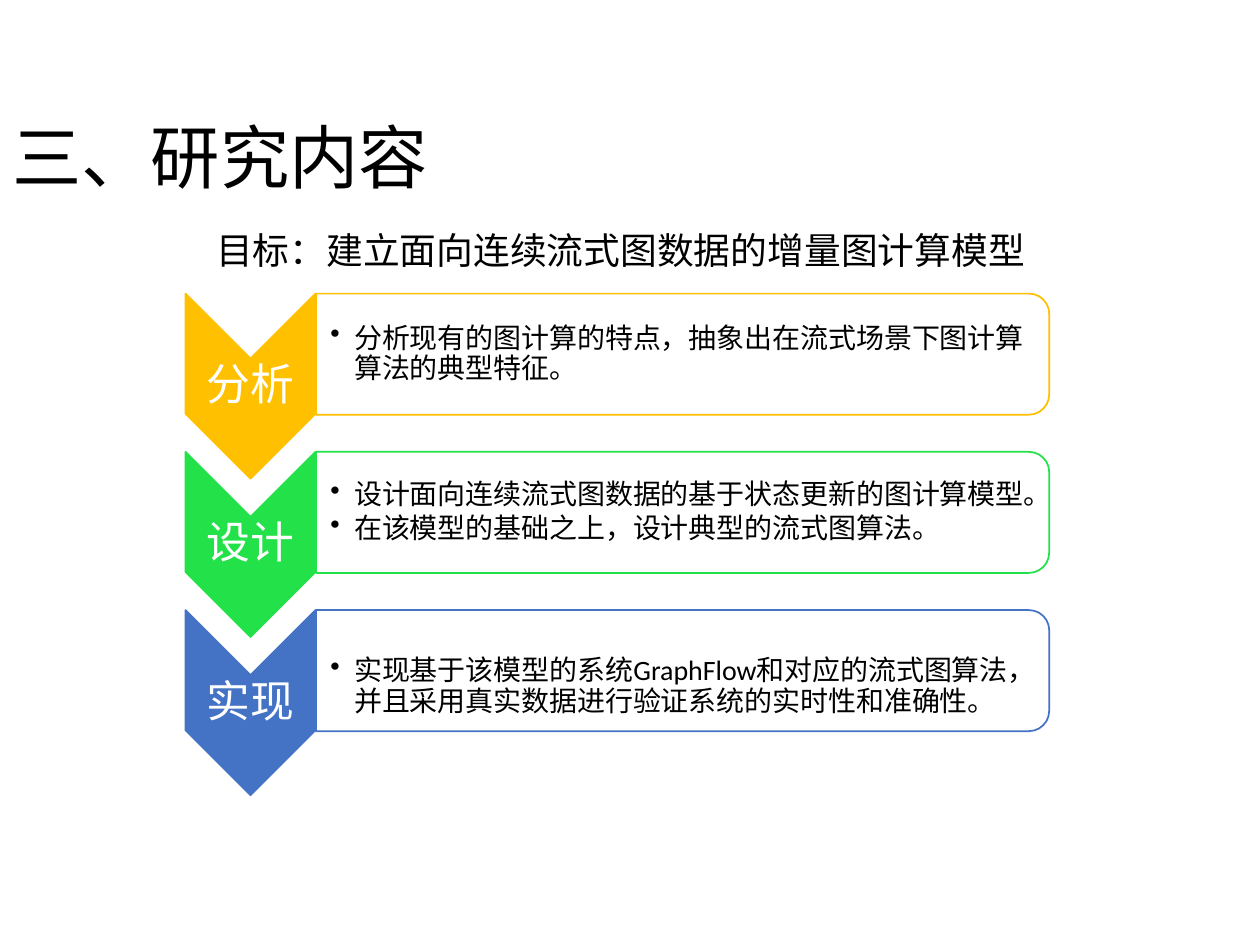
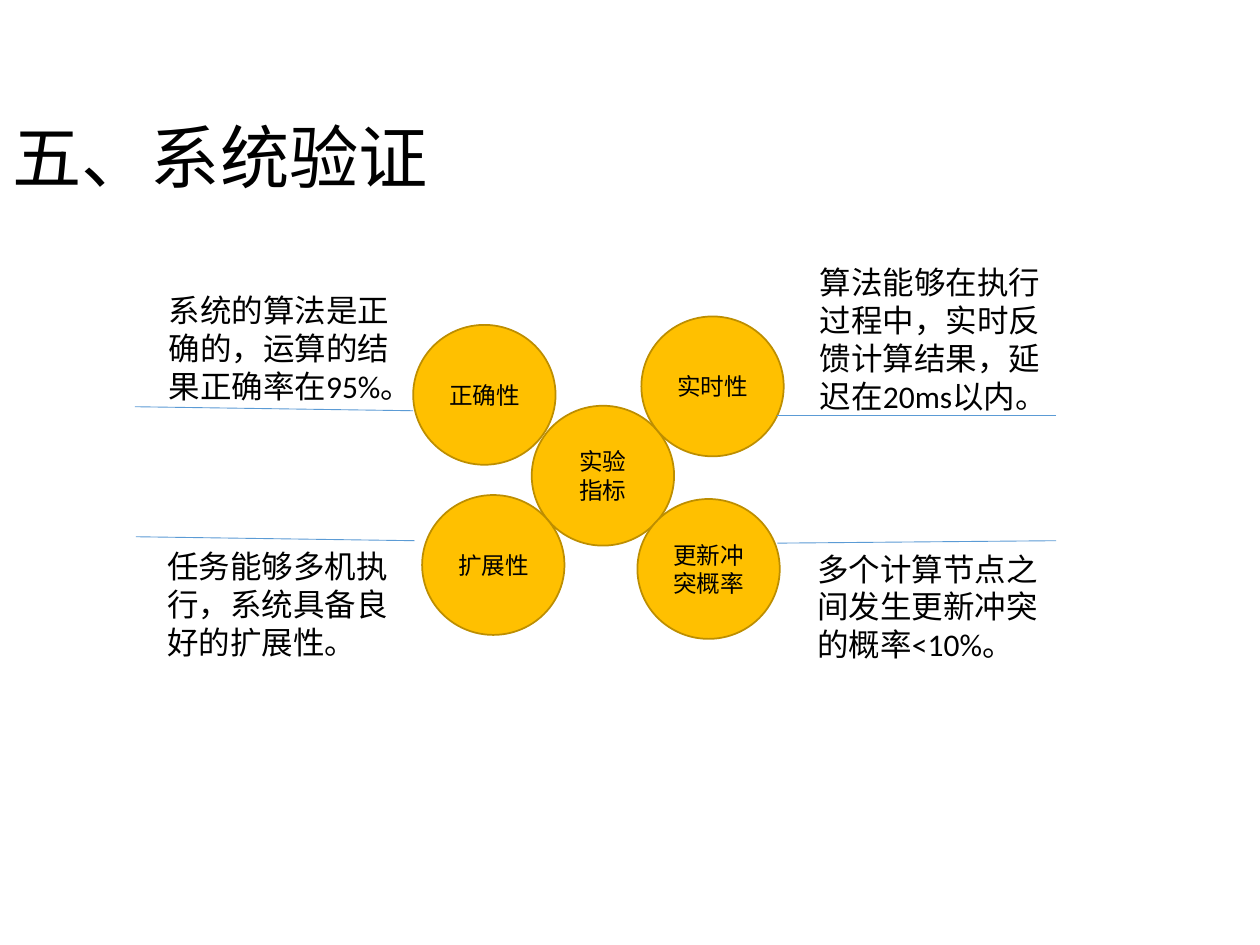
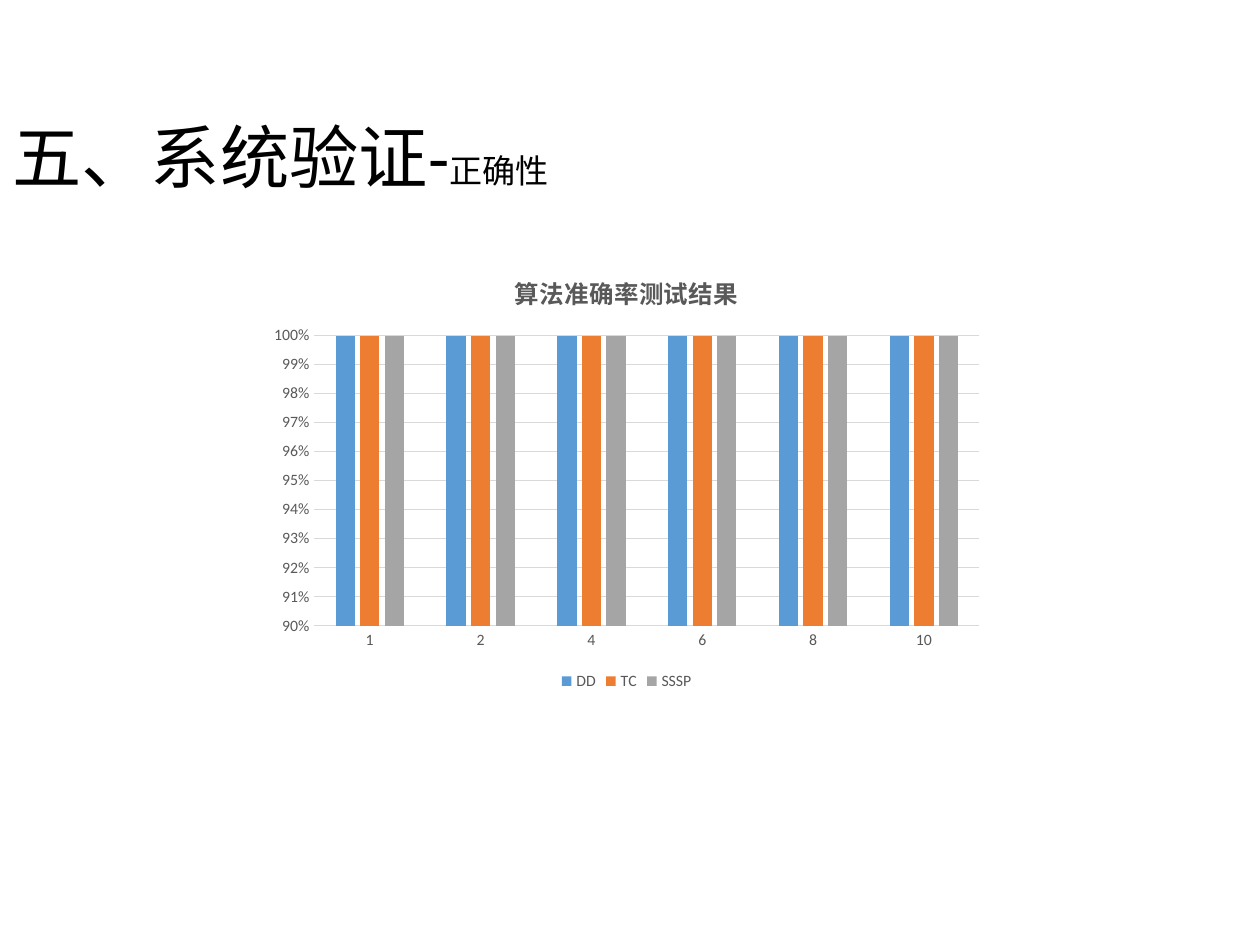
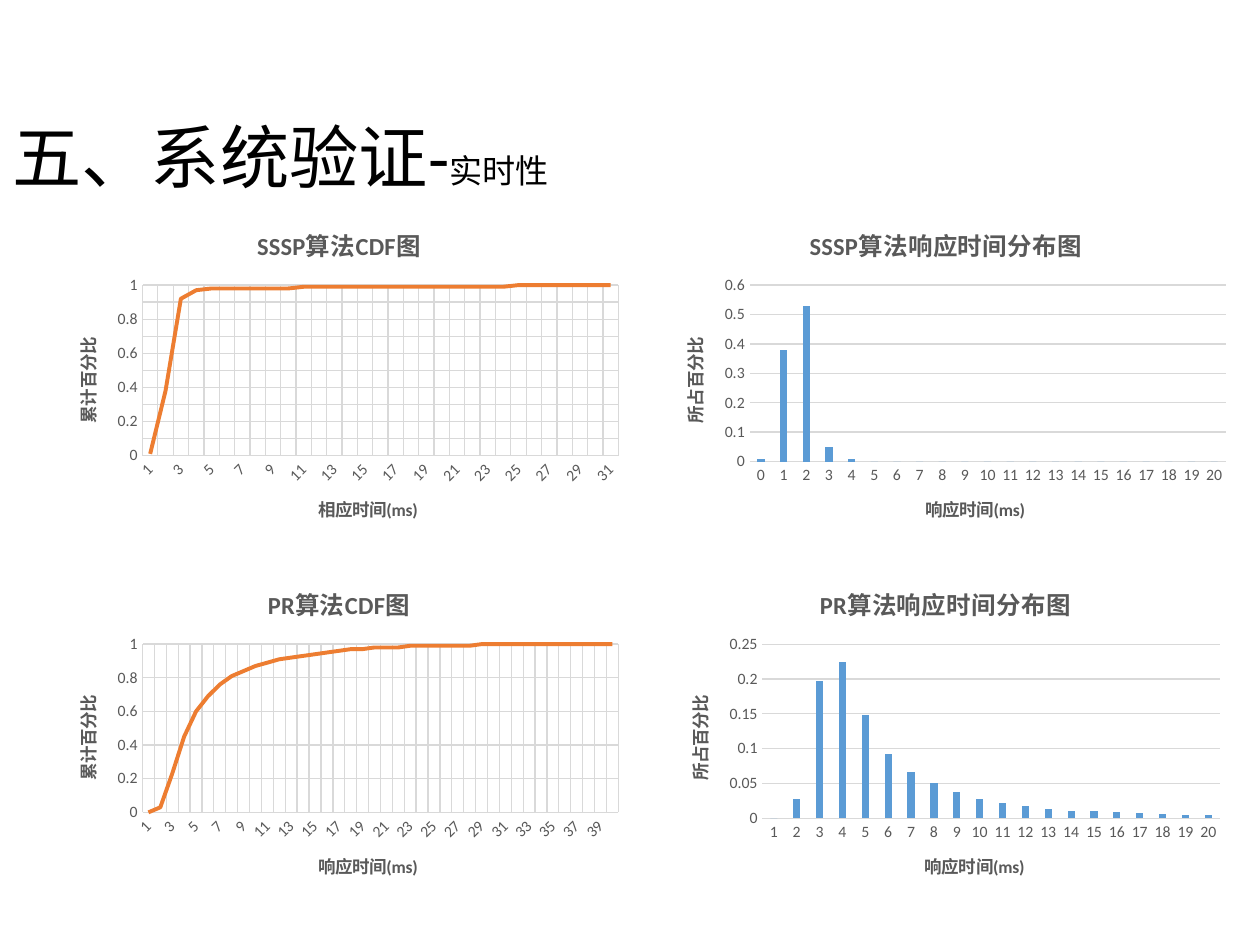
from copy import deepcopy
from dataclasses import dataclass
from typing import NamedTuple, Optional

from lxml.etree import SubElement
from pptx import Presentation
from pptx.chart.axis import CategoryAxis, ValueAxis
from pptx.chart.chart import Chart
from pptx.chart.data import CategoryChartData
from pptx.dml.color import RGBColor
from pptx.dml.line import LineFormat
from pptx.enum.chart import XL_CHART_TYPE, XL_LEGEND_POSITION, XL_TICK_MARK
from pptx.enum.shapes import MSO_CONNECTOR, MSO_SHAPE
from pptx.enum.text import MSO_ANCHOR, PP_ALIGN
from pptx.oxml.ns import qn
from pptx.shapes.autoshape import Shape
from pptx.slide import Slide
from pptx.text.text import Font
from pptx.util import Cm, Pt


@dataclass(frozen=True)
class Theme:
    font: str = "Calibri"
    text: str = "000000"
    white: str = "FFFFFF"
    amber: str = "FFC000"
    amber_edge: str = "BD8E00"
    green: str = "23E148"
    indigo: str = "4472C4"
    blue: str = "5B9BD5"
    orange: str = "ED7D31"
    grey: str = "A5A5A5"
    chart_text: str = "595959"
    grid: str = "D9D9D9"
    title_size: float = 39.6
    subtitle_size: float = 18.9
    goal_size: float = 21
    step_size: float = 25
    detail_size: float = 16
    metric_size: float = 13.5
    note_size: float = 18
    chart_title_size: float = 14
    axis_title_size: float = 10
    tick_size: float = 9


THEME = Theme()


class Box(NamedTuple):
    """Left, top, width and height in centimetres."""
    left: float
    top: float
    width: float
    height: float

    def lengths(self) -> tuple[Cm, ...]:
        return tuple(Cm(value) for value in self)

    def turned(self) -> "Box":
        """The box that covers this one after a quarter turn."""
        shift = (self.width - self.height) / 2
        return Box(self.left + shift, self.top - shift, self.height, self.width)


class Margins(NamedTuple):
    left: float = 0.25
    top: float = 0.13
    right: float = 0.25
    bottom: float = 0.13


class Step(NamedTuple):
    label: str
    color: str
    details: list[str]
    top_margin: float = 0.03


class Metric(NamedTuple):
    label: str
    circle: tuple[float, float]
    note: str
    note_box: Box
    rule: tuple[float, float, float, float]


@dataclass
class ChartSpec:
    title: str
    box: Box
    categories: list[str]
    series: dict[str, list[float]]
    colors: list[str]
    is_cdf: bool = False
    x_title: str = ""
    y_title: str = ""
    number_format: str = "General"
    minimum: float = 0
    maximum: Optional[float] = None
    major_unit: Optional[float] = None
    minor_unit: Optional[float] = None
    legend: bool = False


# ---- Shared drawing functions ----
def style_font(font: Font, size: Optional[float], color: str) -> None:
    font.name = THEME.font
    font.color.rgb = RGBColor.from_string(color)
    if size:
        font.size = Pt(size)


def style_line(line: LineFormat, color: str, width: float) -> None:
    line.color.rgb = RGBColor.from_string(color)
    line.width = Pt(width)


def write(shape: Shape, lines: list[str], size: float, color: str = THEME.text,
          align: PP_ALIGN = PP_ALIGN.LEFT, anchor: MSO_ANCHOR = MSO_ANCHOR.TOP,
          margins: Margins = Margins(), spacing: float = 1.0, bullets: bool = False) -> None:
    frame = shape.text_frame
    frame.word_wrap = True
    frame.vertical_anchor = anchor
    frame.margin_left, frame.margin_top, frame.margin_right, frame.margin_bottom = map(Cm, margins)
    for index, line in enumerate(lines):
        paragraph = frame.add_paragraph() if index else frame.paragraphs[0]
        paragraph.add_run().text = line
        paragraph.alignment = align
        paragraph.line_spacing = spacing
        if bullets:
            paragraph.space_after = Pt(2.4)
            properties = paragraph._p.get_or_add_pPr()
            properties.set("marL", str(Cm(0.48)))
            properties.set("indent", str(Cm(-0.48)))
            SubElement(properties, qn("a:buChar")).set("char", "•")
        style_font(paragraph.font, size, color)


def add_text(slide: Slide, box: Box, lines: list[str], size: float, **options) -> None:
    write(slide.shapes.add_textbox(*box.lengths()), lines, size, **options)


def add_figure(slide: Slide, kind: MSO_SHAPE, box: Box, fill: str, edge: str) -> Shape:
    figure = slide.shapes.add_shape(kind, *box.lengths())
    figure.shadow.inherit = False
    figure.fill.solid()
    figure.fill.fore_color.rgb = RGBColor.from_string(fill)
    style_line(figure.line, edge, 1)
    return figure


def add_rule(slide: Slide, ends: tuple[float, float, float, float]) -> None:
    rule = slide.shapes.add_connector(MSO_CONNECTOR.STRAIGHT, *map(Cm, ends))
    style_line(rule.line, THEME.blue, 0.5)
    SubElement(rule.element.spPr, qn("a:effectLst"))


def add_titled_slide(deck: Presentation, title: str, subtitle: str = "") -> Slide:
    slide = deck.slides.add_slide(deck.slide_layouts[6])
    heading = slide.shapes.add_textbox(*Box(0, 2.34, 21.89, 1.8).lengths())
    heading.text_frame.word_wrap = True
    heading.text_frame.vertical_anchor = MSO_ANCHOR.MIDDLE
    paragraph = heading.text_frame.paragraphs[0]
    paragraph.line_spacing = 0.9
    style_font(paragraph.font, None, THEME.text)
    for words, size in ((title, THEME.title_size), (subtitle, THEME.subtitle_size)):
        if words:
            run = paragraph.add_run()
            run.text = words
            run.font.size = Pt(size)
    return slide


# ---- Charts ----
def style_axis(axis: CategoryAxis | ValueAxis, title: str, grid: bool) -> None:
    axis.major_tick_mark = axis.minor_tick_mark = XL_TICK_MARK.NONE
    style_font(axis.tick_labels.font, THEME.tick_size, THEME.chart_text)
    axis.has_major_gridlines = grid
    if grid:
        style_line(axis.major_gridlines.format.line, THEME.grid, 0.75)
    axis.has_title = bool(title)
    if title:
        paragraph = axis.axis_title.text_frame.paragraphs[0]
        paragraph.add_run().text = title
        style_font(paragraph.font, THEME.axis_title_size, THEME.chart_text)


def style_axes(chart: Chart, spec: ChartSpec) -> None:
    category, value = chart.category_axis, chart.value_axis
    style_axis(category, spec.x_title, spec.is_cdf)
    style_line(category.format.line, THEME.grid, 0.75)
    # Category labels turn by themselves when they run out of room
    labels = chart.element.find(f".//{qn('c:catAx')}/{qn('c:txPr')}/{qn('a:bodyPr')}")
    labels.set("rot", "-60000000")
    labels.set("vert", "horz")

    style_axis(value, spec.y_title, True)
    value.format.line.fill.background()
    value.minimum_scale = spec.minimum
    value.maximum_scale = spec.maximum
    value.major_unit = spec.major_unit
    value.tick_labels.number_format = spec.number_format
    value.tick_labels.number_format_is_linked = False
    if spec.minor_unit:
        value.minor_unit = spec.minor_unit
        value.has_minor_gridlines = True
        # Minor gridlines take the look of the major ones
        value_axis = chart.element.find(f".//{qn('c:valAx')}")
        major_look = value_axis.find(f"{qn('c:majorGridlines')}/{qn('c:spPr')}")
        value_axis.find(qn("c:minorGridlines")).append(deepcopy(major_look))
    if spec.y_title:
        body = next(value.axis_title.element.iter(qn("a:bodyPr")))
        body.set("rot", "-5400000")
        body.set("vert", "horz")


def add_chart(slide: Slide, spec: ChartSpec) -> None:
    data = CategoryChartData()
    data.categories = spec.categories
    for name, values in spec.series.items():
        data.add_series(name, values)
    kind = XL_CHART_TYPE.LINE if spec.is_cdf else XL_CHART_TYPE.COLUMN_CLUSTERED
    chart = slide.shapes.add_chart(kind, *spec.box.lengths(), data).chart
    style_font(chart.font, THEME.axis_title_size, THEME.text)

    chart.has_title = True
    heading = chart.chart_title.text_frame.paragraphs[0]
    heading.add_run().text = spec.title
    style_font(heading.font, THEME.chart_title_size, THEME.chart_text)
    style_axes(chart, spec)

    plot = chart.plots[0]
    plot.vary_by_categories = False
    if not spec.is_cdf:
        plot.gap_width, plot.overlap = 219, -27
    for series, color in zip(plot.series, spec.colors):
        if spec.is_cdf:
            series.smooth = False
            style_line(series.format.line, color, 2.25)
        else:
            series.format.fill.solid()
            series.format.fill.fore_color.rgb = RGBColor.from_string(color)

    chart.has_legend = spec.legend
    if spec.legend:
        chart.legend.position = XL_LEGEND_POSITION.BOTTOM
        chart.legend.include_in_layout = False
        style_font(chart.legend.font, THEME.tick_size, THEME.chart_text)


def numbers(first: int, last: int) -> list[str]:
    return [str(number) for number in range(first, last + 1)]


# ---- Slide 1: research content ----
STEPS = [
    Step("分析", THEME.amber, ["分析现有的图计算的特点，抽象出在流式场景下图计算算法的典型特征。"]),
    Step("设计", THEME.green, ["设计面向连续流式图数据的基于状态更新的图计算模型。",
                             "在该模型的基础之上，设计典型的流式图算法。"]),
    Step("实现", THEME.indigo, ["实现基于该模型的系统GraphFlow和对应的流式图算法，"
                              "并且采用真实数据进行验证系统的实时性和准确性。"], 0.69),
]
STEP_TOP, STEP_PITCH = 5.92, 3.19


def add_step(slide: Slide, step: Step, top: float) -> None:
    arrow = add_figure(slide, MSO_SHAPE.CHEVRON, Box(3.74, top, 2.62, 3.73).turned(),
                       step.color, step.color)
    arrow.rotation = 90
    add_text(slide, Box(3.74, top + 1.31, 2.62, 1.12), [step.label], THEME.step_size,
             color=THEME.white, align=PP_ALIGN.CENTER, anchor=MSO_ANCHOR.MIDDLE,
             margins=Margins(0.04, 0.04, 0.04, 0.04), spacing=0.9)
    panel = add_figure(slide, MSO_SHAPE.ROUND_2_SAME_RECTANGLE,
                       Box(6.37, top, 14.78, 2.44).turned(), THEME.white, step.color)
    panel.rotation = 90
    panel_color = next(panel.element.spPr.iter(qn("a:srgbClr")))
    SubElement(panel_color, qn("a:alpha")).set("val", "90000")
    add_text(slide, Box(6.36, top + 0.13, 14.68, 2.18), step.details, THEME.detail_size,
             anchor=MSO_ANCHOR.MIDDLE, margins=Margins(0.3, step.top_margin, 0.03, 0.03),
             spacing=0.9, bullets=True)


def build_content(deck: Presentation) -> None:
    slide = add_titled_slide(deck, "三、研究内容")
    add_text(slide, Box(4.11, 4.47, 17.02, 1.14),
             ["目标：建立面向连续流式图数据的增量图计算模型"], THEME.goal_size)
    for index, step in enumerate(STEPS):
        add_step(slide, step, STEP_TOP + index * STEP_PITCH)


# ---- Slide 2: verification metrics ----
METRICS = [
    Metric("实时性", (12.93, 6.38), "算法能够在执行过程中，实时反馈计算结果，延迟在20ms以内。",
           Box(16.28, 5.18, 5.41, 3.33), (21.29, 8.38, 15.67, 8.38)),
    Metric("更新冲突概率", (12.85, 10.06), "多个计算节点之间发生更新冲突的概率<10%。",
           Box(16.23, 10.95, 5.41, 2.57), (21.29, 10.9, 15.67, 10.95)),
    Metric("正确性", (8.33, 6.55), "系统的算法是正确的，运算的结果正确率在95%。",
           Box(3.15, 5.74, 5.41, 2.57), (8.33, 8.28, 2.72, 8.2)),
    Metric("扩展性", (8.51, 9.98), "任务能够多机执行，系统具备良好的扩展性。",
           Box(3.12, 10.9, 5.41, 2.57), (8.36, 10.9, 2.74, 10.82)),
]


def add_circle(slide: Slide, corner: tuple[float, float], lines: list[str]) -> None:
    circle = add_figure(slide, MSO_SHAPE.FLOWCHART_CONNECTOR, Box(*corner, 2.87, 2.82),
                        THEME.amber, THEME.amber_edge)
    write(circle, lines, THEME.metric_size, align=PP_ALIGN.CENTER, anchor=MSO_ANCHOR.MIDDLE)


def build_metrics(deck: Presentation) -> None:
    slide = add_titled_slide(deck, "五、系统验证")
    add_circle(slide, (10.72, 8.18), ["实验", "指标"])
    for metric in METRICS:
        add_circle(slide, metric.circle, [metric.label])
        add_text(slide, metric.note_box, [metric.note], THEME.note_size)
        add_rule(slide, metric.rule)


# ---- Slide 3: correctness ----
ACCURACY = ChartSpec(
    "算法准确率测试结果", Box(5.23, 5.08, 14.81, 8.94), ["1", "2", "4", "6", "8", "10"],
    {name: [1] * 6 for name in ("DD", "TC", "SSSP")},
    [THEME.blue, THEME.orange, THEME.grey],
    number_format="0%", minimum=0.9, maximum=1, major_unit=0.01, legend=True)


def build_correctness(deck: Presentation) -> None:
    add_chart(add_titled_slide(deck, "五、系统验证-", "正确性"), ACCURACY)


# ---- Slide 4: response time ----
def cdf(title: str, box: Box, x_title: str, shares: list[float],
        minor_unit: Optional[float] = None) -> ChartSpec:
    return ChartSpec(title, box, numbers(1, len(shares)), {"累计百分比": shares},
                     [THEME.orange], is_cdf=True, x_title=x_title, y_title="累计百分比",
                     maximum=1, major_unit=0.2, minor_unit=minor_unit)


def distribution(title: str, box: Box, first: int, shares: list[float],
                 maximum: float, major_unit: float) -> ChartSpec:
    return ChartSpec(title, box, numbers(first, 20), {"所占百分比": shares}, [THEME.blue],
                     x_title="响应时间(ms)", y_title="所占百分比",
                     maximum=maximum, major_unit=major_unit)


RESPONSE_CHARTS = [
    cdf("SSSP算法CDF图", Box(0.97, 4.14, 11.73, 6.91), "相应时间(ms)",
        [0.01, 0.38, 0.92, 0.97] + [0.98] * 6 + [0.99] * 14 + [1] * 7, minor_unit=0.1),
    distribution("SSSP算法响应时间分布图", Box(13.21, 4.14, 11.73, 6.91), 0,
                 [0.01, 0.38, 0.53, 0.05, 0.01] + [0] * 16, 0.6, 0.1),
    distribution("PR算法响应时间分布图", Box(13.31, 11.38, 11.51, 6.86), 1,
                 [0, 0.028, 0.197, 0.225, 0.148, 0.092, 0.066, 0.05, 0.037, 0.027, 0.022,
                  0.017, 0.013, 0.01, 0.01, 0.009, 0.007, 0.006, 0.005, 0.004], 0.25, 0.05),
    cdf("PR算法CDF图", Box(0.97, 11.38, 11.73, 6.86), "响应时间(ms)",
        [0, 0.03, 0.23, 0.45, 0.6, 0.69, 0.76, 0.81, 0.84, 0.87, 0.89, 0.91, 0.92, 0.93,
         0.94, 0.95, 0.96, 0.97, 0.97] + [0.98] * 3 + [0.99] * 6 + [1] * 12),
]


def build_response(deck: Presentation) -> None:
    slide = add_titled_slide(deck, "五、系统验证-", "实时性")
    for spec in RESPONSE_CHARTS:
        add_chart(slide, spec)


def main() -> None:
    deck = Presentation()
    deck.slide_width, deck.slide_height = Cm(25.4), Cm(19.05)
    for build in (build_content, build_metrics, build_correctness, build_response):
        build(deck)
    deck.save("out.pptx")


if __name__ == "__main__":
    main()
